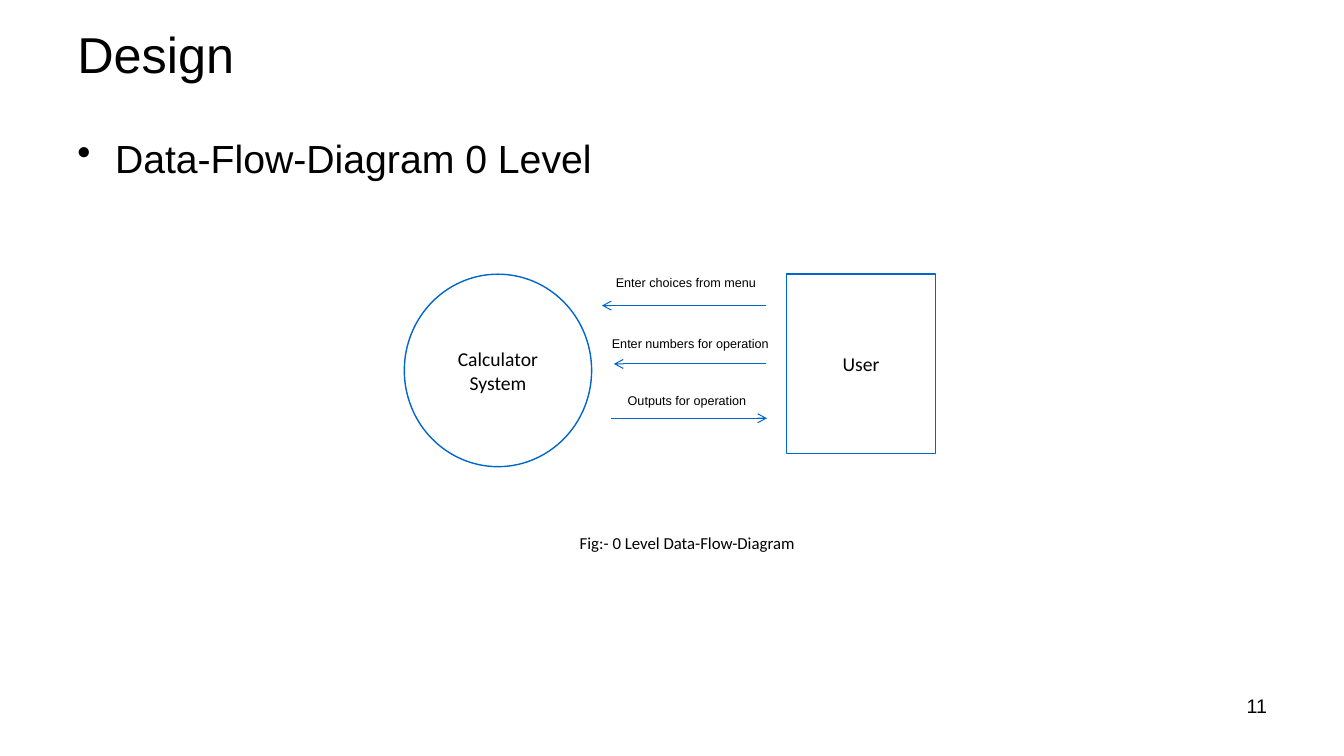
import pptx
import pptx.dml.color
import pptx.enum.shapes
import pptx.enum.text
import pptx.oxml
import pptx.oxml.ns
import pptx.util
from collections import namedtuple

Cm = pptx.util.Cm
Pt = pptx.util.Pt
ALIGN = pptx.enum.text.PP_ALIGN
ANCHOR = pptx.enum.text.MSO_ANCHOR
SHAPE = pptx.enum.shapes.MSO_SHAPE
Box = namedtuple("Box", "left top width height")

COLORS = {"text": "000000", "line": "0066CC", "paper": "FFFFFF"}
FLOWS = [
    ("Enter choices from menu", (5.08, -0.1), (9.12, 4.98), 0.79),
    ("Enter numbers for operation", (4.98, 1.42), (9.12, 5.28), 2.26),
    ("Outputs for operation", (5.38, 2.87), (5.21, 9.14), 3.63),
]


def color(name):
    """Return the named colour."""
    return pptx.dml.color.RGBColor.from_string(COLORS[name])


def inside(box, left, top, width, height):
    """Return a box placed relative to another box."""
    return Box(box.left + left, box.top + top, width, height)


def write(shape, text, size=14, font="Arial", align=ALIGN.LEFT, anchor=ANCHOR.TOP):
    """Write one formatted paragraph into a shape and return it."""
    frame = shape.text_frame
    frame.word_wrap = True
    frame.vertical_anchor = anchor
    para = frame.paragraphs[0]
    para.alignment = align
    span = para.add_run()
    span.text = text
    span.font.size = Pt(size)
    span.font.name = font
    span.font.color.rgb = color("text")
    return para


def add_text(page, box, text, **form):
    """Add a text box and return its paragraph."""
    return write(page.shapes.add_textbox(*map(Cm, box)), text, **form)


def add_node(page, box, kind, text):
    """Add an outlined shape with centred text."""
    node = page.shapes.add_shape(kind, *map(Cm, box))
    node.shadow.inherit = False
    node.fill.background()
    node.line.color.rgb = color("line")
    node.line.width = Pt(1)
    write(node, text, font="Calibri", align=ALIGN.CENTER, anchor=ANCHOR.MIDDLE)


def add_arrow(page, start, end, height):
    """Add a horizontal arrow with an open head at its end."""
    arrow = page.shapes.add_connector(
        pptx.enum.shapes.MSO_CONNECTOR.STRAIGHT,
        Cm(start), Cm(height), Cm(end), Cm(height))
    arrow.line.color.rgb = color("line")
    arrow.line.width = Pt(0.75)
    head = pptx.oxml.parse_xml(
        f'<a:tailEnd {pptx.oxml.ns.nsdecls("a")} type="arrow"/>')
    arrow.line._get_or_add_ln().append(head)
    effects = pptx.oxml.parse_xml(f'<a:effectLst {pptx.oxml.ns.nsdecls("a")}/>')
    arrow._element.spPr.append(effects)


def add_heading(page, box):
    """Add the slide title."""
    add_text(page, box, "Design", size=36, anchor=ANCHOR.MIDDLE)


def add_body(page, box):
    """Add the bulleted line."""
    para = add_text(page, box, "Data-Flow-Diagram 0 Level", size=28)
    para.space_before = Pt(3)
    properties = para._p.get_or_add_pPr()
    properties.set("marL", str(Cm(0.95)))
    properties.set("indent", str(Cm(-0.95)))
    properties.append(pptx.oxml.parse_xml(
        f'<a:buChar {pptx.oxml.ns.nsdecls("a")} char="•"/>'))


def add_diagram(page, box):
    """Add the two nodes, the flows between them and the caption."""
    add_node(page, inside(box, 9.63, 0, 3.76, 4.52), SHAPE.RECTANGLE, "User")
    add_node(page, inside(box, 0, 0, 4.72, 4.85), SHAPE.OVAL, "Calculator System")
    caption = page.shapes.add_textbox(*map(Cm, inside(box, 4.17, 6.38, 6.17, 0.99)))
    caption.fill.solid()
    caption.fill.fore_color.rgb = color("paper")
    write(caption, "Fig:- 0 Level Data-Flow-Diagram", size=12, font="Calibri")
    for text, (left, top), (start, end), height in FLOWS:
        add_arrow(page, box.left + start, box.left + end, box.top + height)
        add_text(page, inside(box, left, top, 4.6, 0.64), text, size=9)


def add_number(page, box):
    """Add the slide number."""
    add_text(page, box, "11", align=ALIGN.RIGHT)


def main():
    """Build the slide and save it."""
    deck = pptx.Presentation()
    deck.slide_width = Cm(33.87)
    deck.slide_height = Cm(19.05)
    page = deck.slides.add_slide(deck.slide_layouts[6])
    add_heading(page, Box(1.7, 0.53, 30.48, 1.63))
    add_body(page, Box(1.7, 3.25, 30.48, 13.77))
    add_number(page, Box(24.28, 17.35, 7.9, 1.32))
    add_diagram(page, Box(10.19, 6.91, 13.39, 7.37))
    deck.save("out.pptx")


if __name__ == "__main__":
    main()
